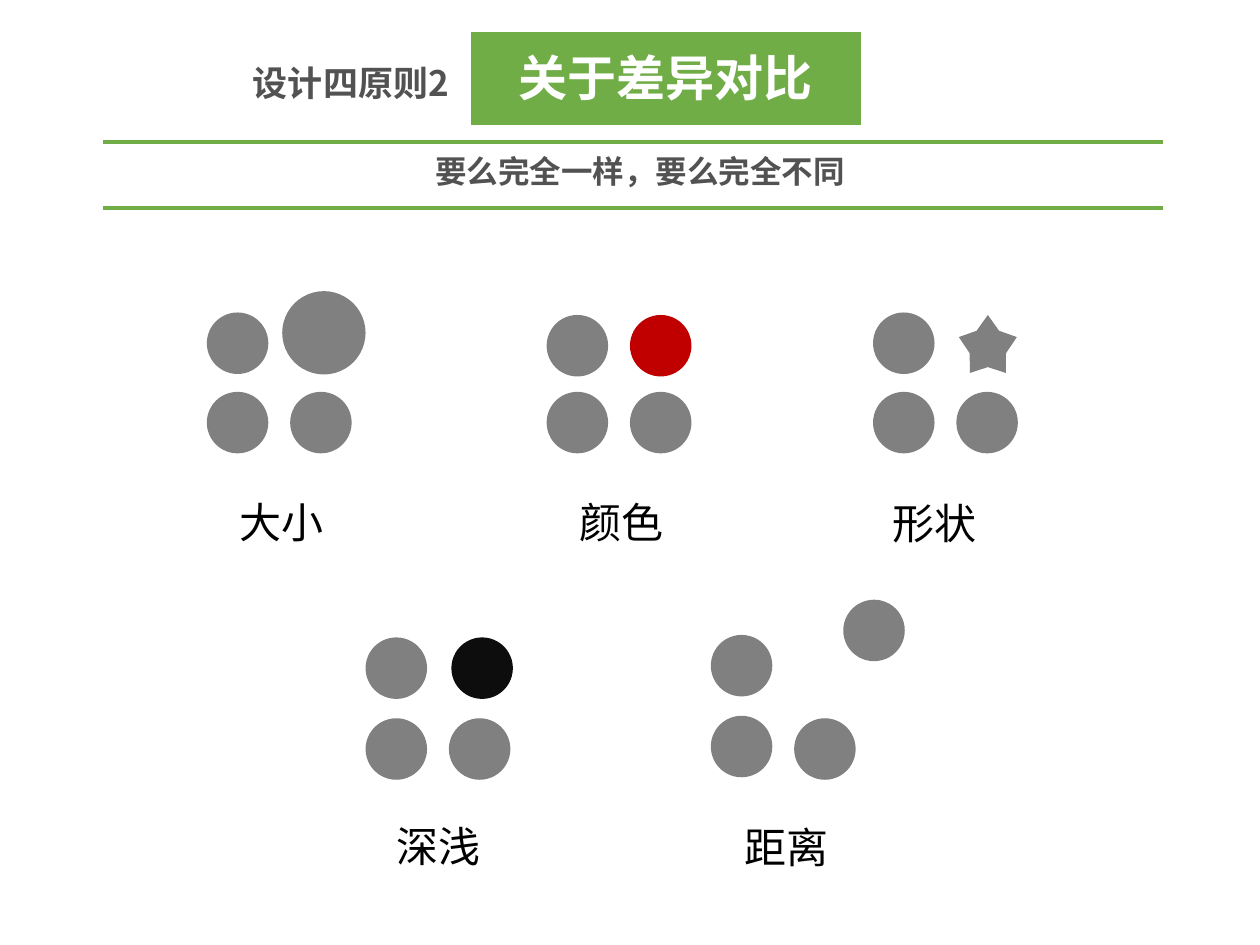
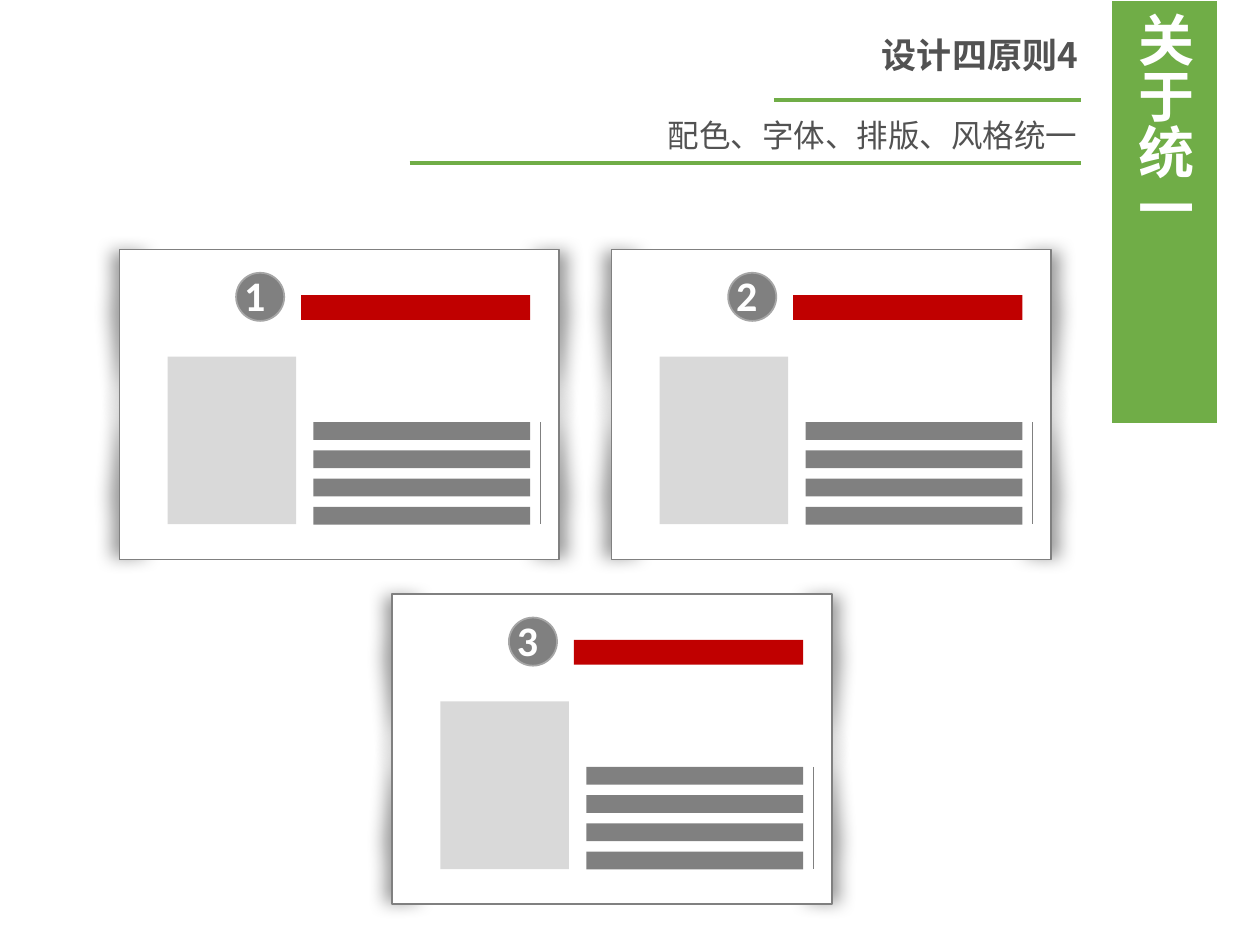
from dataclasses import dataclass

from lxml import etree
from pptx import Presentation
from pptx.dml.color import RGBColor
from pptx.enum.shapes import MSO_CONNECTOR, MSO_SHAPE as Shape
from pptx.enum.text import MSO_ANCHOR as Anchor, MSO_AUTO_SIZE as AutoSize, PP_ALIGN as Align
from pptx.oxml.ns import qn
from pptx.util import Cm, Pt

COLORS = {
    "green": "70AD47", "white": "FFFFFF", "text": "525252", "black": "000000",
    "gray": "808080", "red": "C00000", "dark": "0D0D0D", "light": "D9D9D9",
    "ring": "A6A6A6", "flap": "5B9BD5", "flap_edge": "43739E",
}
LATIN, CHINESE = "Calibri", "Noto Sans CJK SC"

DOT = 1.24
DOT_PITCH = 1.68
CARD_WIDTH, CARD_HEIGHT = 8.86, 6.25
FLAP = [(0.56, 6.2), (0.57, 5.5), (0.53, 4.95), (0.71, 2.97), (1.22, 6.17)]
BAR_COUNT, BAR_TOP, BAR_STEP = 4, 3.48, 0.57


@dataclass
class Cluster:
    """Four dots; odd_one is the differing dot, placed from the lower left dot."""
    name: str
    left: float
    top: float
    label_at: tuple
    odd_one: tuple
    odd_size: float = DOT
    odd_color: str = "gray"
    odd_shape: Shape = Shape.OVAL
    rise: float = 1.6
    drop: float = 0


CLUSTERS = [
    Cluster("大小", 4.17, 7.9, (4.57, 9.88), (1.52, -2.03), odd_size=1.68),
    Cluster("颜色", 11.02, 7.9, (11.43, 9.88), (DOT_PITCH, -1.55), odd_color="red", rise=1.55),
    Cluster("形状", 17.6, 7.9, (17.75, 9.91), (1.73, -1.55), odd_size=1.17,
            odd_shape=Shape.STAR_5_POINT),
    Cluster("深浅", 7.37, 14.48, (7.75, 16.41), (1.73, -1.63), odd_color="dark", rise=1.63),
    Cluster("距离", 14.33, 14.43, (14.76, 16.44), (2.67, -2.34), rise=1.63, drop=0.05),
]
CARDS = [(2.41, 5.03), (12.33, 5.03), (7.91, 11.98)]


def rgb(name):
    return RGBColor.from_string(COLORS[name])


def paint(shape, fill, edge=None, edge_width=1):
    shape.shadow.inherit = False
    shape.fill.solid()
    shape.fill.fore_color.rgb = rgb(fill)
    if edge:
        shape.line.color.rgb = rgb(edge)
        shape.line.width = Pt(edge_width)
    else:
        shape.line.fill.background()


def add_block(shapes, kind, left, top, width, height, fill, edge=None, edge_width=1):
    block = shapes.add_shape(kind, Cm(left), Cm(top), Cm(width), Cm(height))
    paint(block, fill, edge, edge_width)
    return block


def add_rule(page, start, end, color="green", width=2.25):
    ends = [Cm(value) for value in (*start, *end)]
    rule = page.shapes.add_connector(MSO_CONNECTOR.STRAIGHT, *ends)
    rule.line.color.rgb = rgb(color)
    rule.line.width = Pt(width)
    etree.SubElement(rule._element.spPr, qn("a:effectLst"))


def style_span(span, size, color, bold=False, font=LATIN):
    span.font.size = Pt(size)
    span.font.bold = bold
    span.font.color.rgb = rgb(color)
    span.font.name = font
    etree.SubElement(span._r.get_or_add_rPr(), qn("a:ea"), typeface=CHINESE)


def add_label(page, text, left, top, width, height, size, color, bold=False, font=LATIN,
              wrap=True):
    box = page.shapes.add_textbox(Cm(left), Cm(top), Cm(width), Cm(height))
    frame = box.text_frame
    frame.word_wrap = wrap
    frame.auto_size = AutoSize.SHAPE_TO_FIT_TEXT
    frame.text = text
    style_span(frame.paragraphs[0].runs[0], size, color, bold, font)
    return box


def add_series_name(page, number, left, top):
    box = add_label(page, "设计四原则", left, top, 4.88, 1.12, 20, "text", bold=True)
    span = box.text_frame.paragraphs[0].add_run()
    span.text = number
    style_span(span, 20, "text", bold=True, font=CHINESE)


def add_banner(page, left, top, width, height):
    return add_block(page.shapes, Shape.RECTANGLE, left, top, width, height,
                     "green", "white", 1.5)


def add_vertical_title(banner, text):
    frame = banner.text_frame
    frame._txBody.bodyPr.set("vert", "eaVert")
    frame.vertical_anchor = Anchor.MIDDLE
    frame.text = text
    para = frame.paragraphs[0]
    para.alignment = Align.LEFT
    style_span(para.runs[0], 32, "white", bold=True)


def add_cluster(page, cluster):
    shapes = page.shapes.add_group_shape().shapes
    for dx, dy in ((0, 0), (DOT_PITCH, cluster.drop), (0, -cluster.rise)):
        add_block(shapes, Shape.OVAL, cluster.left + dx, cluster.top + dy, DOT, DOT, "gray")
    dx, dy = cluster.odd_one
    odd = add_block(shapes, cluster.odd_shape, cluster.left + dx, cluster.top + dy,
                    cluster.odd_size, cluster.odd_size, cluster.odd_color)
    if cluster.odd_shape == Shape.STAR_5_POINT:
        odd.adjustments[0] = 0.313
    add_label(page, cluster.name, *cluster.label_at, 2.24, 1.27, 24, "black",
              font=CHINESE, wrap=False)


def cast_shadow(shape, degrees):
    effects = shape._element.spPr.find(qn("a:effectLst"))
    shadow = etree.SubElement(effects, qn("a:outerShdw"), blurRad=str(Pt(10)),
                              dist=str(Pt(20)), dir=str(degrees * 60000), rotWithShape="0")
    color = etree.SubElement(shadow, qn("a:srgbClr"), val=COLORS["black"])
    etree.SubElement(color, qn("a:alpha"), val="40000")


def add_flap(shapes, left, top, on_right, on_top):
    """Add a corner wedge behind a card, whose shadow shows past the card's side."""
    points = [(Cm(left + (CARD_WIDTH - x if on_right else x)),
               Cm(top + (CARD_HEIGHT - y if on_top else y))) for x, y in FLAP]
    builder = shapes.build_freeform(*points[0])
    builder.add_line_segments(points[1:], close=True)
    flap = builder.convert_to_shape()
    paint(flap, "flap", "flap_edge")
    cast_shadow(flap, 0 if on_right else 180)


def add_card(page, number, left, top):
    shapes = page.shapes.add_group_shape().shapes
    for on_right in (False, True):
        for on_top in (False, True):
            add_flap(shapes, left, top, on_right, on_top)
    add_block(shapes, Shape.RECTANGLE, left, top, CARD_WIDTH, CARD_HEIGHT, "white", "gray")

    add_block(page.shapes, Shape.OVAL, left + 2.35, top + 0.47, 0.97, 0.97, "gray", "ring")
    add_label(page, str(number), left + 2.26, top + 0.28, 0.94, 1.27, 24, "white",
              bold=True, wrap=False)
    blocks = [(3.66, 0.92, 4.62, 0.5, "red"), (0.97, 2.16, 2.59, 3.38, "light")]
    blocks += [(3.91, BAR_TOP + row * BAR_STEP, 4.37, 0.36, "gray") for row in range(BAR_COUNT)]
    for dx, dy, width, height, fill in blocks:
        add_block(page.shapes, Shape.RECTANGLE, left + dx, top + dy, width, height, fill)
    add_rule(page, (left + 8.48, top + BAR_TOP), (left + 8.48, top + 5.54), "gray", 0.5)


def build_contrast(page):
    add_banner(page, 9.47, 0.61, 7.92, 1.93)
    add_label(page, "关于差异对比", 10.21, 0.84, 7.49, 1.45, 28, "white", bold=True)
    for height in (2.87, 4.19):
        add_rule(page, (2.08, height), (23.44, height))
    add_label(page, "要么完全一样，要么完全不同", 8.53, 2.95, 9.58, 1.02, 18, "text",
              bold=True, font=CHINESE)
    for cluster in CLUSTERS:
        add_cluster(page, cluster)
    add_series_name(page, "2", 4.85, 1.12)


def build_unity(page):
    add_vertical_title(add_banner(page, 22.4, 0, 2.16, 8.56), "关于统一")
    add_series_name(page, "4", 17.53, 0.56)
    for left, height in ((15.6, 2.01), (8.26, 3.28)):
        add_rule(page, (left, height), (21.79, height))
    add_label(page, "配色、字体、排版、风格统一", 13.21, 2.21, 12, 1.02, 18, "text")
    for number, (left, top) in enumerate(CARDS, 1):
        add_card(page, number, left, top)


def main():
    deck = Presentation()
    deck.slide_width, deck.slide_height = Cm(25.4), Cm(19.05)
    blank = deck.slide_layouts[6]
    for build in (build_contrast, build_unity):
        build(deck.slides.add_slide(blank))
    deck.save("out.pptx")


if __name__ == "__main__":
    main()
